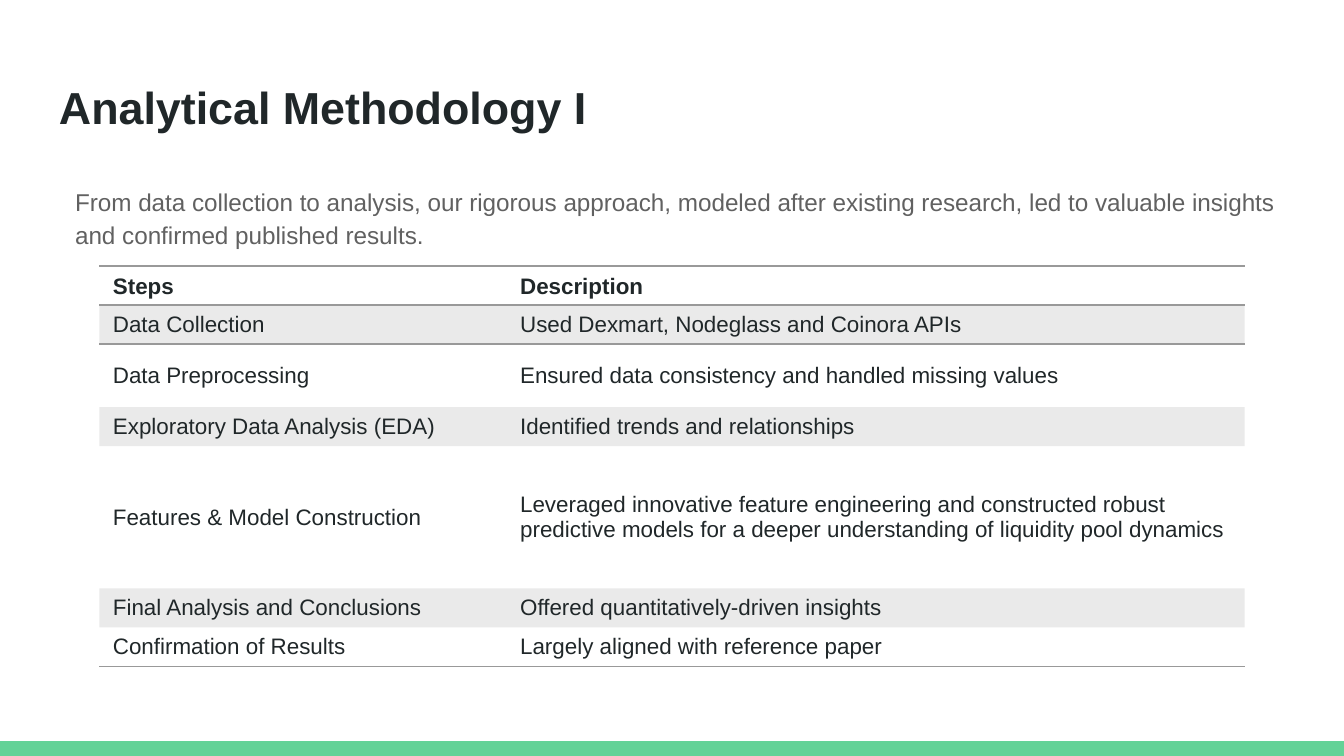
from typing import NamedTuple

from lxml import etree
from pptx import Presentation
from pptx import util as u
from pptx.dml.color import RGBColor
from pptx.enum import shapes, text
from pptx.oxml import ns

COLORS = {"ink": "202729", "body": "616161", "rule": "999999", "accent": "63D297"}
FONT = "Arial"
NO_STYLE = "{2D5ABB26-0587-4C30-8999-92F81FD0307C}"
BAND_ALPHA = 20  # percent
LINE_HEIGHT = 0.29
SLIDE_WIDTH = 10
SLIDE_HEIGHT = SLIDE_WIDTH * 9 / 16
BAR_HEIGHT = 0.11


class Step(NamedTuple):
    name: str
    description: str
    height: float = LINE_HEIGHT


STEPS = [
    Step("Steps", "Description"),
    Step("Data Collection", "Used Dexmart, Nodeglass and Coinora APIs"),
    Step("Data Preprocessing", "Ensured data consistency and handled missing values", 0.47),
    Step("Exploratory Data Analysis (EDA)", "Identified trends and relationships"),
    Step(
        "Features & Model Construction",
        "Leveraged innovative feature engineering and constructed robust "
        "predictive models for a deeper understanding of liquidity pool dynamics",
        1.06,
    ),
    Step("Final Analysis and Conclusions", "Offered quantitatively-driven insights"),
    Step("Confirmation of Results", "Largely aligned with reference paper"),
]
COLUMN_WIDTHS = [3.03, 5.49]


def rgb(name: str) -> RGBColor:
    return RGBColor.from_string(COLORS[name])


def write(frame, content: str, *, size: float, color: str = "ink", bold: bool = False):
    """Put one formatted paragraph in a text frame and return it."""
    paragraph = frame.paragraphs[0]
    run = paragraph.add_run()
    run.text = content
    run.font.name = FONT
    run.font.size = u.Pt(size)
    run.font.bold = bold
    run.font.color.rgb = rgb(color)
    return paragraph


def add_text_box(slide, top: float, height: float):
    box = slide.shapes.add_textbox(
        u.Inches(0.34), u.Inches(top), u.Inches(9.32), u.Inches(height))
    frame = box.text_frame
    frame.word_wrap = True
    frame.vertical_anchor = text.MSO_ANCHOR.TOP
    frame.margin_left = frame.margin_right = u.Inches(0.1)
    frame.margin_top = frame.margin_bottom = u.Inches(0.1)
    return frame


def add_borders(cell, sides: str) -> None:
    """Rule the given sides, T before B; lines precede the fill in tcPr."""
    properties = cell._tc.get_or_add_tcPr()
    for index, side in enumerate(sides):
        line = etree.Element(ns.qn(f"a:ln{side}"), w=str(u.Pt(1)))
        fill = etree.SubElement(line, ns.qn("a:solidFill"))
        etree.SubElement(fill, ns.qn("a:srgbClr"), val=COLORS["rule"])
        properties.insert(index, line)


def fill_cell(cell, banded: bool) -> None:
    if not banded:
        cell.fill.background()
        return
    cell.fill.solid()
    cell.fill.fore_color.rgb = rgb("rule")
    color = cell._tc.tcPr.find(".//" + ns.qn("a:srgbClr"))
    etree.SubElement(color, ns.qn("a:alpha"), val=str(BAND_ALPHA * 1000))


def add_steps_table(slide) -> None:
    table = slide.shapes.add_table(
        len(STEPS), len(COLUMN_WIDTHS), u.Inches(0.74), u.Inches(1.98),
        u.Inches(sum(COLUMN_WIDTHS)), u.Inches(sum(step.height for step in STEPS)),
    ).table
    table._tbl.tblPr.find(ns.qn("a:tableStyleId")).text = NO_STYLE
    table.horz_banding = False
    for column, width in zip(table.columns, COLUMN_WIDTHS):
        column.width = u.Inches(width)

    borders = {0: "TB", 1: "T", len(STEPS) - 1: "B"}
    for number, step in enumerate(STEPS):
        header = number == 0
        table.rows[number].height = u.Inches(step.height)
        for cell, content in zip(table.rows[number].cells, (step.name, step.description)):
            cell.margin_left = cell.margin_right = u.Inches(0.1)
            cell.margin_top = cell.margin_bottom = u.Inches(0.04)
            cell.vertical_anchor = text.MSO_ANCHOR.BOTTOM if header else text.MSO_ANCHOR.MIDDLE
            write(cell.text_frame, content, size=12, bold=header)
            fill_cell(cell, banded=number % 2 == 1)
            add_borders(cell, borders.get(number, ""))


def main() -> None:
    presentation = Presentation()
    presentation.slide_width = u.Inches(SLIDE_WIDTH)
    presentation.slide_height = u.Inches(SLIDE_HEIGHT)
    slide = presentation.slides.add_slide(presentation.slide_layouts[6])

    # Bottom accent bar
    bar = slide.shapes.add_shape(
        shapes.MSO_SHAPE.RECTANGLE, 0, u.Inches(SLIDE_HEIGHT - BAR_HEIGHT),
        u.Inches(SLIDE_WIDTH), u.Inches(BAR_HEIGHT))
    bar.shadow.inherit = False
    bar.fill.solid()
    bar.fill.fore_color.rgb = rgb("accent")
    bar.line.fill.background()

    # Title
    title = add_text_box(slide, 0.49, 0.63)
    write(title, "Analytical Methodology I", size=24, bold=True)

    # Introduction
    introduction = add_text_box(slide, 1.26, 1.06)
    paragraph = write(
        introduction,
        "From data collection to analysis, our rigorous approach, modeled after existing "
        "research, led to valuable insights and confirmed published results.",
        size=13, color="body")
    paragraph.line_spacing = 1.15
    paragraph.space_after = u.Pt(12)
    paragraph._p.get_or_add_pPr().set("marL", str(u.Inches(0.12)))

    # Steps and descriptions
    add_steps_table(slide)

    presentation.save("out.pptx")


if __name__ == "__main__":
    main()
